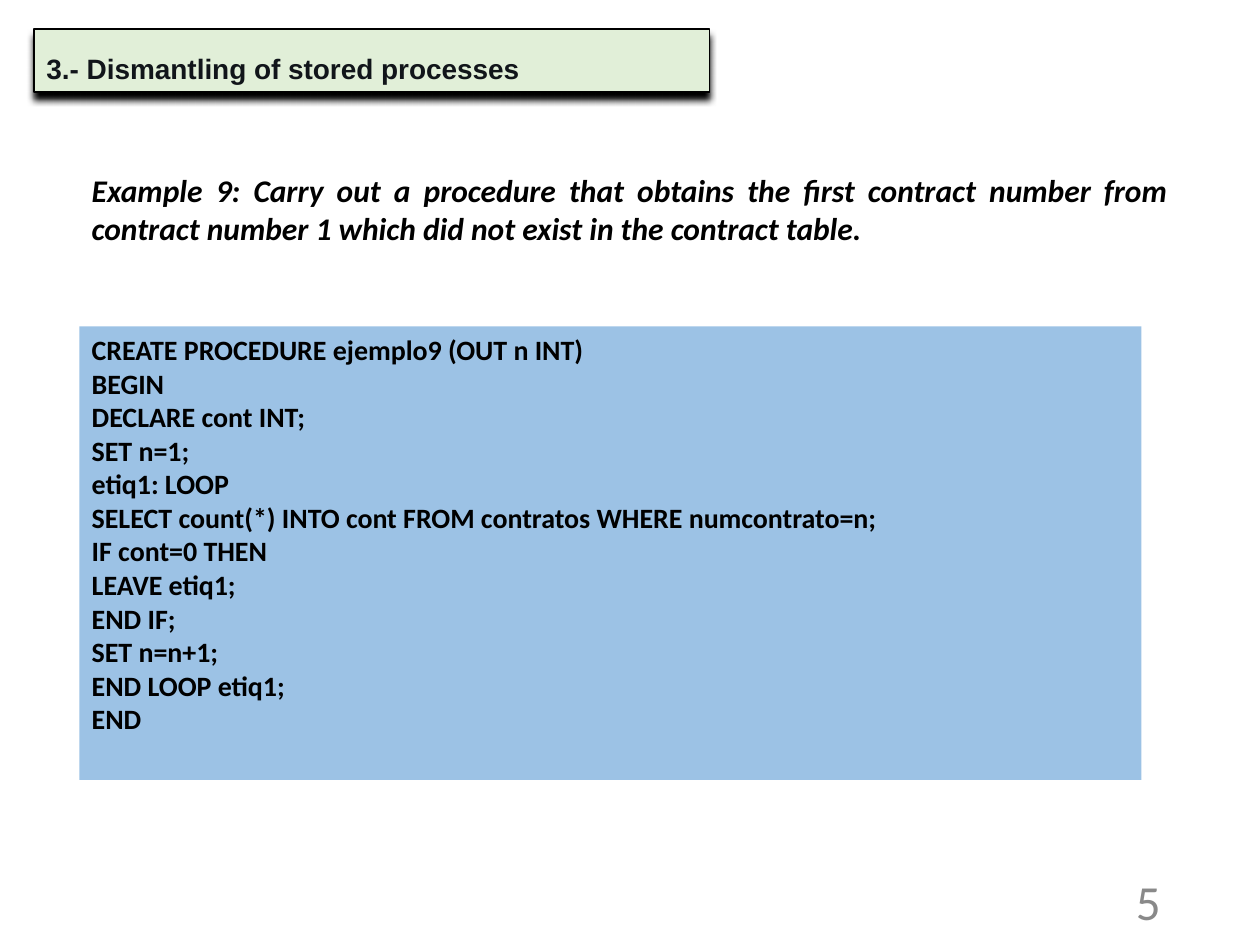
from dataclasses import dataclass

from lxml.etree import SubElement
from pptx import Presentation
from pptx.dml.color import RGBColor
from pptx.enum.shapes import MSO_SHAPE
from pptx.enum.text import MSO_ANCHOR, PP_ALIGN
from pptx.oxml.ns import qn
from pptx.util import Inches, Pt


@dataclass(frozen=True)
class Theme:
    heading_font: str = "Arial"
    body_font: str = "Calibri"
    heading_fill: str = "E1EFD8"
    heading_text: str = "11151A"
    code_fill: str = "9CC2E5"
    ink: str = "000000"
    muted: str = "898989"
    heading_size: int = 16
    code_size: int = 16
    task_size: int = 18
    number_size: int = 28


THEME = Theme()

HEADING = "3.- Dismantling of stored processes"
TASK = ("Example 9: Carry out a procedure that obtains the first contract number "
        "from contract number 1 which did not exist in the contract table.")
PROCEDURE = """CREATE PROCEDURE ejemplo9 (OUT n INT)
BEGIN
DECLARE cont INT;
SET n=1;
etiq1: LOOP
SELECT count(*) INTO cont FROM contratos WHERE numcontrato=n;
IF cont=0 THEN
LEAVE etiq1;
END IF;
SET n=n+1;
END LOOP etiq1;
END"""


def add_panel(slide, box, fill):
    """Add a flat rectangle without an outline."""
    panel = slide.shapes.add_shape(MSO_SHAPE.RECTANGLE, *map(Inches, box))
    panel.shadow.inherit = False
    panel.fill.solid()
    panel.fill.fore_color.rgb = RGBColor.from_string(fill)
    panel.line.fill.background()
    return panel


def write_text(holder, text, font, size, color, bold=False, italic=False,
               align=PP_ALIGN.LEFT, anchor=MSO_ANCHOR.TOP):
    """Fill a shape with one paragraph per line of text."""
    frame = holder.text_frame
    frame.word_wrap = True
    frame.vertical_anchor = anchor
    frame.text = text
    for paragraph in frame.paragraphs:
        paragraph.alignment = align
        paragraph.font.name = font
        paragraph.font.size = Pt(size)
        paragraph.font.bold = bold
        paragraph.font.italic = italic
        paragraph.font.color.rgb = RGBColor.from_string(color)
    return frame


def add_drop_shadow(shape, color, blur, distance):
    """Cast an opaque shadow straight down."""
    effects = shape._element.spPr.find(qn("a:effectLst"))
    shadow = SubElement(effects, qn("a:outerShdw"), blurRad=str(Pt(blur)),
                        dist=str(Pt(distance)), dir="5400000",
                        algn="ctr", rotWithShape="0")
    SubElement(shadow, qn("a:srgbClr"), val=color)


def add_heading(slide, box):
    banner = add_panel(slide, box, THEME.heading_fill)
    banner.line.color.rgb = RGBColor.from_string(THEME.ink)
    banner.line.width = Pt(0.75)
    add_drop_shadow(banner, THEME.ink, blur=4, distance=4)
    frame = write_text(banner, HEADING, THEME.heading_font, THEME.heading_size,
                       THEME.heading_text, bold=True)
    title = frame.paragraphs[0]
    title.line_spacing = 1.5
    hanging = title._p.get_or_add_pPr()
    hanging.set("marL", str(Inches(0.5)))
    hanging.set("indent", str(Inches(-0.5)))


def add_page_number(slide, box):
    number = slide.shapes.add_textbox(*map(Inches, box))
    write_text(number, "5", THEME.body_font, THEME.number_size, THEME.muted,
               align=PP_ALIGN.RIGHT, anchor=MSO_ANCHOR.MIDDLE)


def add_task(slide, box):
    task = slide.shapes.add_textbox(*map(Inches, box))
    write_text(task, TASK, THEME.body_font, THEME.task_size, THEME.ink,
               bold=True, italic=True, align=PP_ALIGN.JUSTIFY)


def add_code(slide, box):
    code = add_panel(slide, box, THEME.code_fill)
    write_text(code, PROCEDURE, THEME.body_font, THEME.code_size, THEME.ink,
               bold=True)


def main():
    deck = Presentation()
    deck.slide_width, deck.slide_height = Inches(10), Inches(7.5)
    slide = deck.slides.add_slide(deck.slide_layouts[6])
    add_heading(slide, (0.27, 0.23, 5.36, 0.5))
    add_page_number(slide, (7.06, 6.95, 2.25, 0.4))
    add_task(slide, (0.63, 1.31, 8.74, 0.71))
    add_code(slide, (0.63, 2.59, 8.43, 3.6))
    deck.save("out.pptx")


if __name__ == "__main__":
    main()
